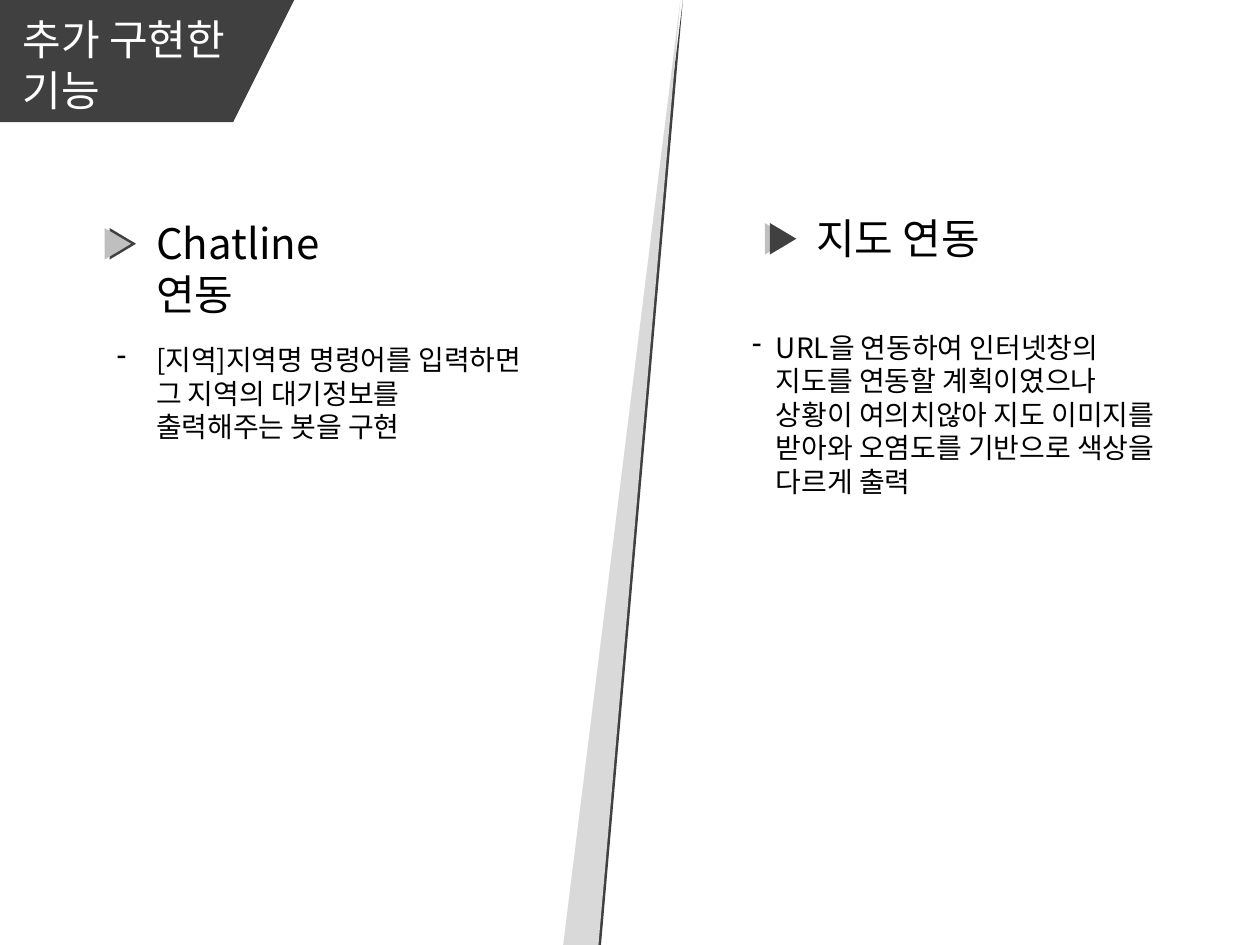
from pptx import Presentation
from pptx.dml.color import RGBColor as RGB
from pptx.enum.shapes import MSO_SHAPE as Shp
from pptx.oxml.ns import qn
from pptx.util import Inches, Pt
from lxml import etree

FONT = "Noto Sans CJK KR"
HUES = {"dark": "404040", "mid": "BFBFBF", "pale": "D9D9D9",
        "ink": "000000", "white": "FFFFFF"}


def paint(shape, hue):
    shape.shadow.inherit = False
    shape.fill.solid()
    shape.fill.fore_color.rgb = RGB.from_string(HUES[hue])
    shape.line.fill.background()


def block(slide, kind, x, y, w, h, hue, turn=0):
    shape = slide.shapes.add_shape(kind, Inches(x), Inches(y), Inches(w), Inches(h))
    shape.rotation = turn
    paint(shape, hue)
    return shape


def write(slide, text, x, y, w, h, size=24, hue="ink", dash=0):
    """Add a text box; dash is the hanging indent of a dash bullet."""
    frame = slide.shapes.add_textbox(Inches(x), Inches(y), Inches(w), Inches(h)).text_frame
    frame.word_wrap = True
    para = frame.paragraphs[0]
    run = para.add_run()
    run.text = text
    run.font.size = Pt(size)
    run.font.color.rgb = RGB.from_string(HUES[hue])
    props = run._r.get_or_add_rPr()
    for tag in ("a:latin", "a:ea"):
        etree.SubElement(props, qn(tag)).set("typeface", FONT)
    if dash:
        form = para._p.get_or_add_pPr()
        form.set("marL", str(Inches(dash)))
        form.set("indent", str(-Inches(dash)))
        etree.SubElement(form, qn("a:buChar")).set("char", "-")


def banner(slide, x, y, w, h):
    # Dark title tab with a slanted right end
    slant = h / 2
    block(slide, Shp.RECTANGLE, x, y, w, h, "dark")
    end = block(slide, Shp.ISOSCELES_TRIANGLE, x + w + slant / 2 - h / 2,
                y + h / 2 - slant / 2, h, slant, "dark", 90)
    end.adjustments[0] = 0
    write(slide, "추가 구현한 기능", x + 0.08, y + 0.06, 2.22, 0.91, hue="white")


def divider(slide, x, y, w, h):
    # Pale wedge over a dark one, showing a thin dark edge
    for shift, hue in ((0.02, "dark"), (0, "pale")):
        left = x + shift
        pen = slide.shapes.build_freeform(Inches(left + w), Inches(y), scale=1.0)
        pen.add_line_segments([(Inches(left + 0.28), Inches(y + h)),
                               (Inches(left), Inches(y + h))])
        paint(pen.convert_to_shape(), hue)


def marker(slide, x, y, hues):
    # Two overlapping arrowheads, back one first
    for shift, hue in hues:
        block(slide, Shp.ISOSCELES_TRIANGLE, x + shift, y, 0.25, 0.21, hue, 90)


def topic(slide, x, y, head, wide, hues):
    marker(slide, x, y + 0.15, hues)
    write(slide, head, x + 0.33, y, wide, 0.5)


def main():
    deck = Presentation()
    deck.slide_width, deck.slide_height = Inches(10), Inches(7.5)
    slide = deck.slides.add_slide(deck.slide_layouts[6])

    divider(slide, 4.47, 0, 0.93, 7.5)
    banner(slide, 0, 0, 1.85, 0.97)

    # Left topic
    topic(slide, 0.81, 1.68, "Chatline 연동", 2.1, ((0.04, "dark"), (0, "mid")))
    write(slide, "[지역]지역명 명령어를 입력하면 그 지역의 대기정보를 출력해주는 봇을 구현",
          0.83, 2.67, 3.45, 1.92, size=16, dash=0.31)

    # Right topic
    topic(slide, 6.05, 1.64, "지도 연동", 1.67, ((0, "mid"), (0.04, "dark")))
    write(slide, "URL을 연동하여 인터넷창의 지도를 연동할 계획이였으나 상황이 여의치않아 "
          "지도 이미지를 받아와 오염도를 기반으로 색상을 다르게 출력",
          5.87, 2.57, 3.45, 1.45, size=16, dash=0.19)

    deck.save("out.pptx")


if __name__ == "__main__":
    main()
